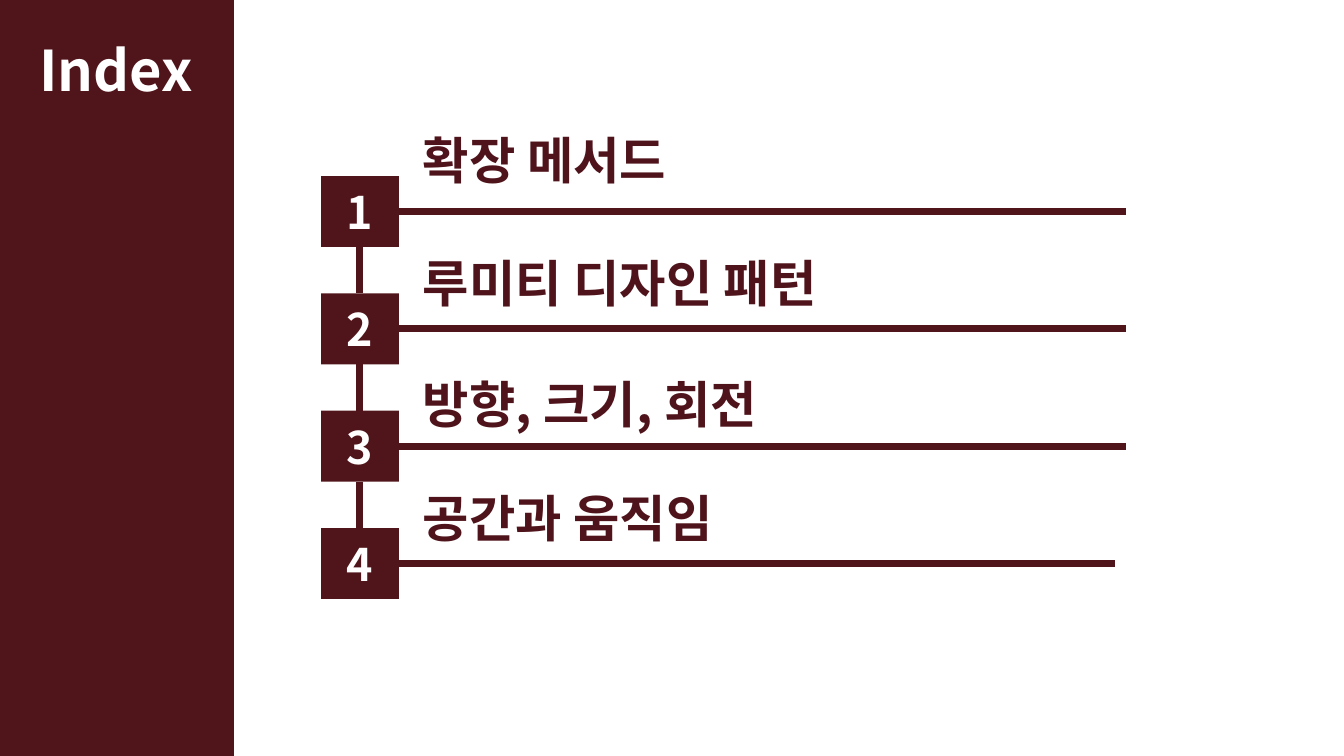
from lxml.etree import SubElement
from pptx import Presentation
from pptx.dml.color import RGBColor
from pptx.enum.shapes import MSO_CONNECTOR, MSO_SHAPE
from pptx.enum.text import MSO_ANCHOR, MSO_AUTO_SIZE, PP_ALIGN
from pptx.oxml.ns import qn
from pptx.util import Emu, Pt

FONT = "Noto Sans CJK KR"
MAROON, TOPIC_MAROON, WHITE = "50141B", "4F141B", "FFFFFF"
SLIDE_WIDTH, SLIDE_HEIGHT = 1344, 756
BADGE_WIDTH, BADGE_HEIGHT = 78, 71

# Topic, its text top relative to the badge, its rule start and end
TOPICS = [
    ("확장 메서드", -52, 77, 805),
    ("루미티 디자인 패턴", -46, 77, 805),
    ("방향, 크기, 회전", -43, 77, 805),
    ("공간과 움직임", -46, 67, 794),
]


def px(length):
    return Emu(round(length * 914400 / 100.8))


def color(code):
    return RGBColor.from_string(code)


def write(shape, text, size, code, align=PP_ALIGN.LEFT, anchor=MSO_ANCHOR.TOP):
    frame = shape.text_frame
    frame.text = text
    frame.word_wrap = True
    frame.auto_size = MSO_AUTO_SIZE.NONE
    frame.vertical_anchor = anchor
    para = frame.paragraphs[0]
    para.alignment = align
    span = para.runs[0]
    span.font.size = Pt(size)
    span.font.bold = True
    span.font.name = FONT
    span.font.color.rgb = color(code)
    SubElement(span.font._element, qn("a:ea")).set("typeface", FONT)


def add_block(page, left, top, width, height):
    block = page.shapes.add_shape(
        MSO_SHAPE.RECTANGLE, px(left), px(top), px(width), px(height))
    block.shadow.inherit = False
    block.fill.solid()
    block.fill.fore_color.rgb = color(MAROON)
    block.line.fill.background()
    return block


def add_rule(page, x1, y1, x2, y2):
    rule = page.shapes.add_connector(
        MSO_CONNECTOR.STRAIGHT, px(x1), px(y1), px(x2), px(y2))
    rule.line.color.rgb = color(MAROON)
    rule.line.width = Pt(5)
    SubElement(rule._element.spPr, qn("a:effectLst"))


def add_sidebar(page, left, top, width, height):
    bar = add_block(page, left, top, width, height)
    title = page.shapes.title
    title.left, title.top = px(left + 29), px(top + 30)
    title.width, title.height = px(185), px(78)
    write(title, "Index", 40, WHITE)
    # Keep the title in front of the bar
    bar._element.addnext(title._element)


def add_topic(page, left, top, number, topic):
    text, text_top, rule_start, rule_end = topic
    middle = top + BADGE_HEIGHT / 2
    add_rule(page, left + rule_start, middle, left + rule_end, middle)
    badge = add_block(page, left, top, BADGE_WIDTH, BADGE_HEIGHT)
    write(badge, str(number), 32, WHITE, PP_ALIGN.CENTER, MSO_ANCHOR.MIDDLE)
    label = page.shapes.add_textbox(
        px(left + 92), px(top + text_top), px(774), px(71))
    write(label, text, 36, TOPIC_MAROON)


def add_index(page, left, top, height):
    pitch = (height - BADGE_HEIGHT) / (len(TOPICS) - 1)
    center = left + BADGE_WIDTH / 2
    for row, topic in enumerate(TOPICS):
        row_top = top + row * pitch
        # Link to the badge above
        if row:
            add_rule(page, center, row_top - pitch + BADGE_HEIGHT, center, row_top)
        add_topic(page, left, row_top, row + 1, topic)


def main():
    deck = Presentation()
    deck.slide_width, deck.slide_height = px(SLIDE_WIDTH), px(SLIDE_HEIGHT)
    page = deck.slides.add_slide(deck.slide_layouts.get_by_name("Title Only"))
    add_sidebar(page, 0, 0, 234, SLIDE_HEIGHT)
    add_index(page, 321, 176, 423)
    deck.save("out.pptx")


if __name__ == "__main__":
    main()
